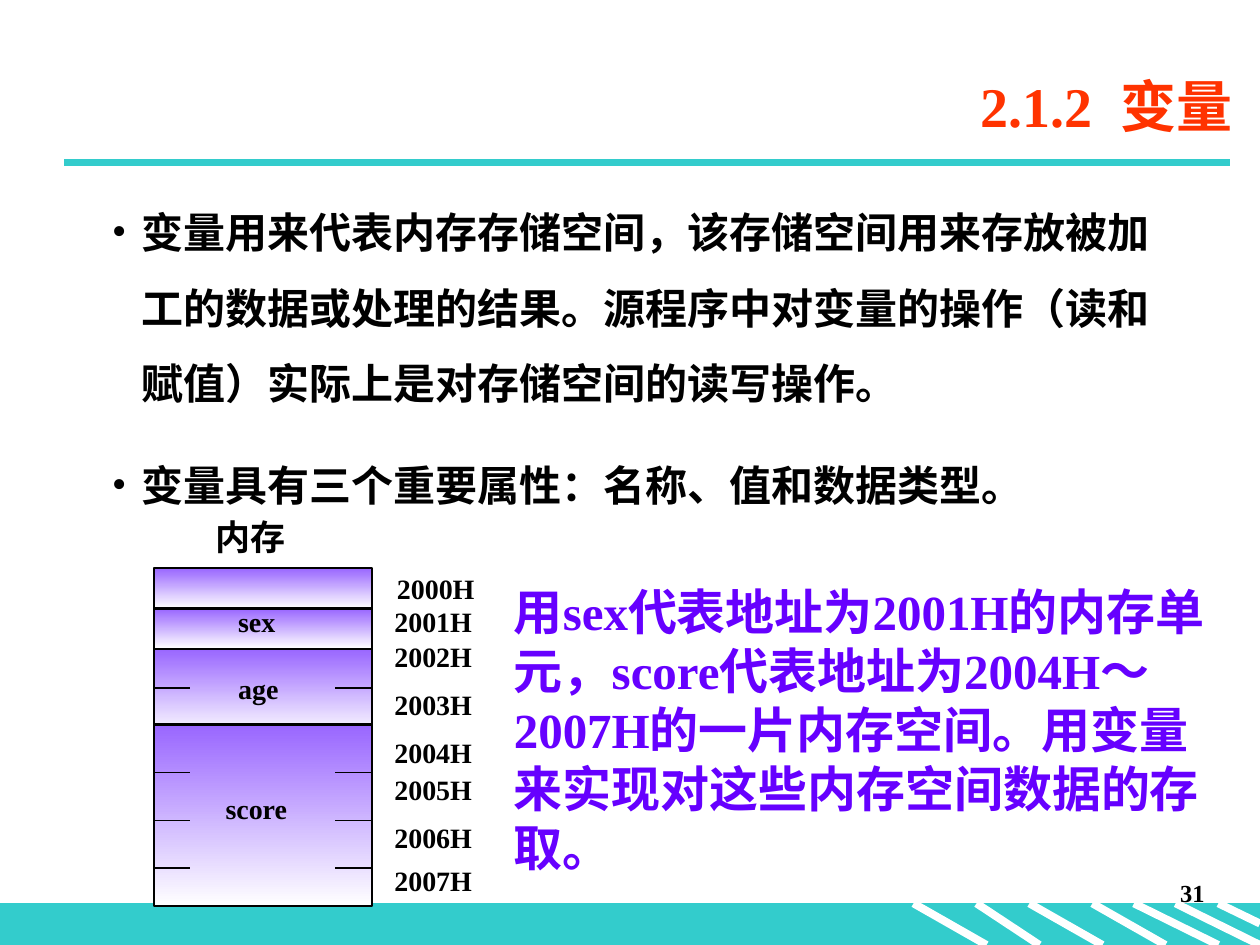
from dataclasses import dataclass

from lxml import etree
from pptx import Presentation
from pptx import util as u
from pptx.dml.color import RGBColor
from pptx.enum import shapes, text
from pptx.oxml.ns import qn

# Square grid: 100 columns by 75 rows
COLUMNS, ROWS = 100, 75
UNIT = u.Inches(0.1)

LATIN, CJK = "Times New Roman", "Noto Sans CJK SC"
BLACK, WHITE, TEAL = "000000", "FFFFFF", "33CCCC"
VIOLET, PURPLE, ORANGE = "9966FF", "6600FF", "FF3300"

MEMORY_LEFT, MEMORY_WIDTH = 12.2, 17.3
TICK_LENGTH = 2.9


@dataclass
class Style:
    size: float
    color: str = BLACK
    font: str = LATIN
    align: text.PP_ALIGN = text.PP_ALIGN.LEFT
    anchor: text.MSO_ANCHOR = text.MSO_ANCHOR.TOP
    before: float = 0
    spacing: float = 1
    bullet: bool = False
    inset: bool = True
    wrap: bool = True


@dataclass
class Cell:
    top: float
    height: float


@dataclass
class Label:
    wording: str
    left: float
    top: float
    width: float


def grid(cells: float) -> int:
    return round(cells * UNIT)


def rgb(value: str) -> RGBColor:
    return RGBColor.from_string(value)


def add_line(slide, start, end, color: str, weight: float) -> None:
    line = slide.shapes.add_connector(
        shapes.MSO_CONNECTOR.STRAIGHT, *map(grid, (*start, *end)))
    line.line.color.rgb = rgb(color)
    line.line.width = u.Pt(weight)
    etree.SubElement(line._element.spPr, qn("a:effectLst"))


def add_box(slide, box, outline: str, weight: float):
    rect = slide.shapes.add_shape(
        shapes.MSO_SHAPE.RECTANGLE, *map(grid, box))
    rect.shadow.inherit = False
    rect.line.color.rgb = rgb(outline)
    rect.line.width = u.Pt(weight)
    return rect


def add_bullet(paragraph) -> None:
    """Hang a black dot in front of the paragraph."""
    props = paragraph._p.get_or_add_pPr()
    indent = grid(2.35)
    props.set("marL", str(indent))
    props.set("indent", str(-indent))
    color = etree.SubElement(props, qn("a:buClr"))
    etree.SubElement(color, qn("a:srgbClr"), val=BLACK)
    etree.SubElement(props, qn("a:buFont"), typeface=LATIN)
    etree.SubElement(props, qn("a:buChar"), char="•")


def add_run(paragraph, wording: str, style: Style):
    run = paragraph.add_run()
    run.text = wording
    run.font.size = u.Pt(style.size)
    run.font.bold = True
    run.font.name = style.font
    run.font.color.rgb = rgb(style.color)
    etree.SubElement(run.font._element, qn("a:ea"), typeface=CJK)
    return run


def add_text(slide, box, paragraphs: list[list[str]], style: Style):
    """Each paragraph is a list of run wordings; returns the text frame."""
    frame = slide.shapes.add_textbox(*map(grid, box)).text_frame
    frame.word_wrap = style.wrap
    frame.vertical_anchor = style.anchor
    if not style.inset:
        frame.margin_left = frame.margin_right = 0
        frame.margin_top = frame.margin_bottom = 0
    for index, runs in enumerate(paragraphs):
        paragraph = frame.add_paragraph() if index else frame.paragraphs[0]
        paragraph.alignment = style.align
        paragraph.space_before = u.Pt(style.before)
        paragraph.line_spacing = style.spacing
        if style.bullet:
            add_bullet(paragraph)
        for wording in runs:
            add_run(paragraph, wording, style)
    return frame


def draw_footer(slide) -> None:
    top = 71.7
    band = add_box(slide, (0, top, COLUMNS, ROWS - top), TEAL, 0.75)
    band.fill.solid()
    band.fill.fore_color.rgb = rgb(TEAL)
    stripes = [(77.5, 82.5), (72.5, 78.3), (81.7, 87.5), (93.3, 100),
               (90, 96.7), (86.7, 92.5)]
    for start, end in stripes:
        add_line(slide, (start, top), (end, ROWS), WHITE, 4.5)
    add_line(slide, (96.7, top), (COLUMNS, 73.3), WHITE, 4.5)
    add_text(slide, (75.8, 69.2, 20.8, 5), [["31"]],
             Style(14, align=text.PP_ALIGN.RIGHT, before=8.8))


def draw_title(slide) -> None:
    add_line(slide, (5.1, 12.9), (97.6, 12.9), TEAL, 4.5)
    frame = add_text(slide, (13.8, 4.4, 85, 7.9), [["2.1.2", " ", "变量"]],
                     Style(32, ORANGE, align=text.PP_ALIGN.RIGHT,
                           anchor=text.MSO_ANCHOR.MIDDLE))
    gap = frame.paragraphs[0].runs[1]
    gap.font._element.set("spc", "800")


def draw_memory(slide) -> None:
    cells = [Cell(45.1, 3.2), Cell(48.3, 3.2), Cell(51.5, 6.9),
             Cell(57.5, 14.4)]
    for cell in cells:
        rect = add_box(slide, (MEMORY_LEFT, cell.top, MEMORY_WIDTH,
                               cell.height), BLACK, 1.25)
        rect.fill.gradient()
        rect.fill.gradient_angle = 270
        for stop, color, position in zip(
                rect.fill.gradient_stops, (VIOLET, WHITE), (0, 1)):
            stop.color.rgb = rgb(color)
            stop.position = position

    right = MEMORY_LEFT + MEMORY_WIDTH
    for row in (54.6, 61.3, 65.1, 68.9):
        for left in (MEMORY_LEFT, right - TICK_LENGTH):
            add_line(slide, (left, row), (left + TICK_LENGTH, row),
                     BLACK, 0.75)

    address_tops = (45.4, 48, 50.8, 54.6, 58.4, 61.3, 65.1, 68.5)
    labels = [Label(f"200{i}H", 31.3 if i else 31.5, top, 6.2)
              for i, top in enumerate(address_tops)]
    labels += [Label("sex", 18.9, 48, 3), Label("age", 18.9, 53.3, 3.2),
               Label("score", 17.9, 62.8, 4.9)]
    label_style = Style(16, inset=False, wrap=False)
    for label in labels:
        add_text(slide, (label.left, label.top, label.width, 2.7),
                 [[label.wording]], label_style)
    add_text(slide, (16.1, 40.4, 23.6, 4.4), [["内存"]],
             Style(20, before=12.5))


def main() -> None:
    deck = Presentation()
    deck.slide_width, deck.slide_height = grid(COLUMNS), grid(ROWS)
    slide = deck.slides.add_slide(deck.slide_layouts[6])
    draw_footer(slide)
    draw_title(slide)
    add_text(slide, (7.9, 13.9, 87.1, 27.1), [
        ["变量用来代表内存存储空间，该存储空间用来存放被加工的数据或处理的结果。"
         "源程序中对变量的操作（读和赋值）实际上是对存储空间的读写操作。"],
        ["变量具有三个重要属性：名称、值和数据类型。"],
    ], Style(24, font=CJK, before=15, spacing=1.5, bullet=True))
    draw_memory(slide)
    add_text(slide, (39.8, 45.7, 57.5, 24.4), [
        ["用sex代表地址为2001H的内存单元，score代表地址为2004H～2007H的"
         "一片内存空间。用变量来实现对这些内存空间数据的存取。"],
    ], Style(28, PURPLE, before=17.5))
    deck.save("out.pptx")


if __name__ == "__main__":
    main()
